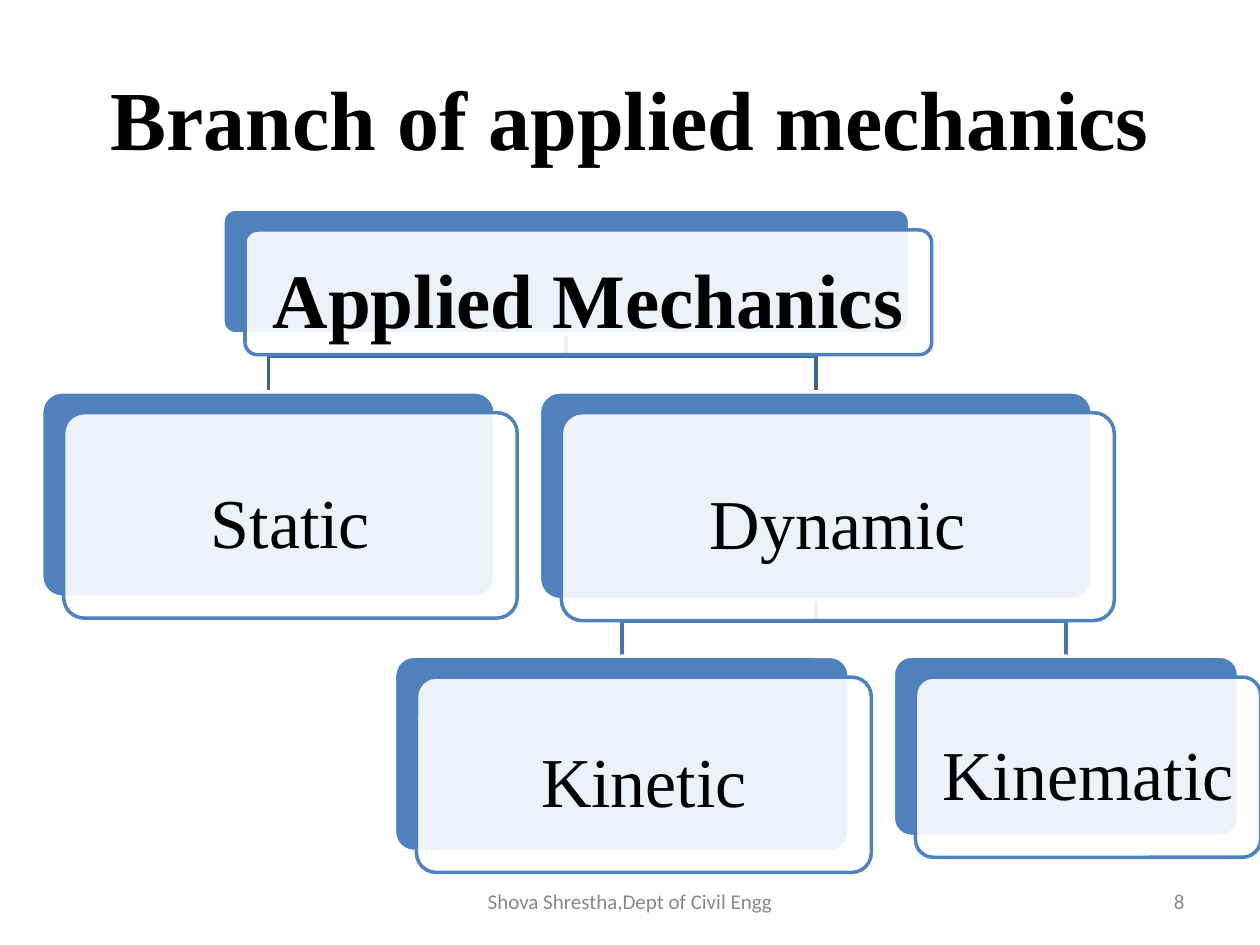
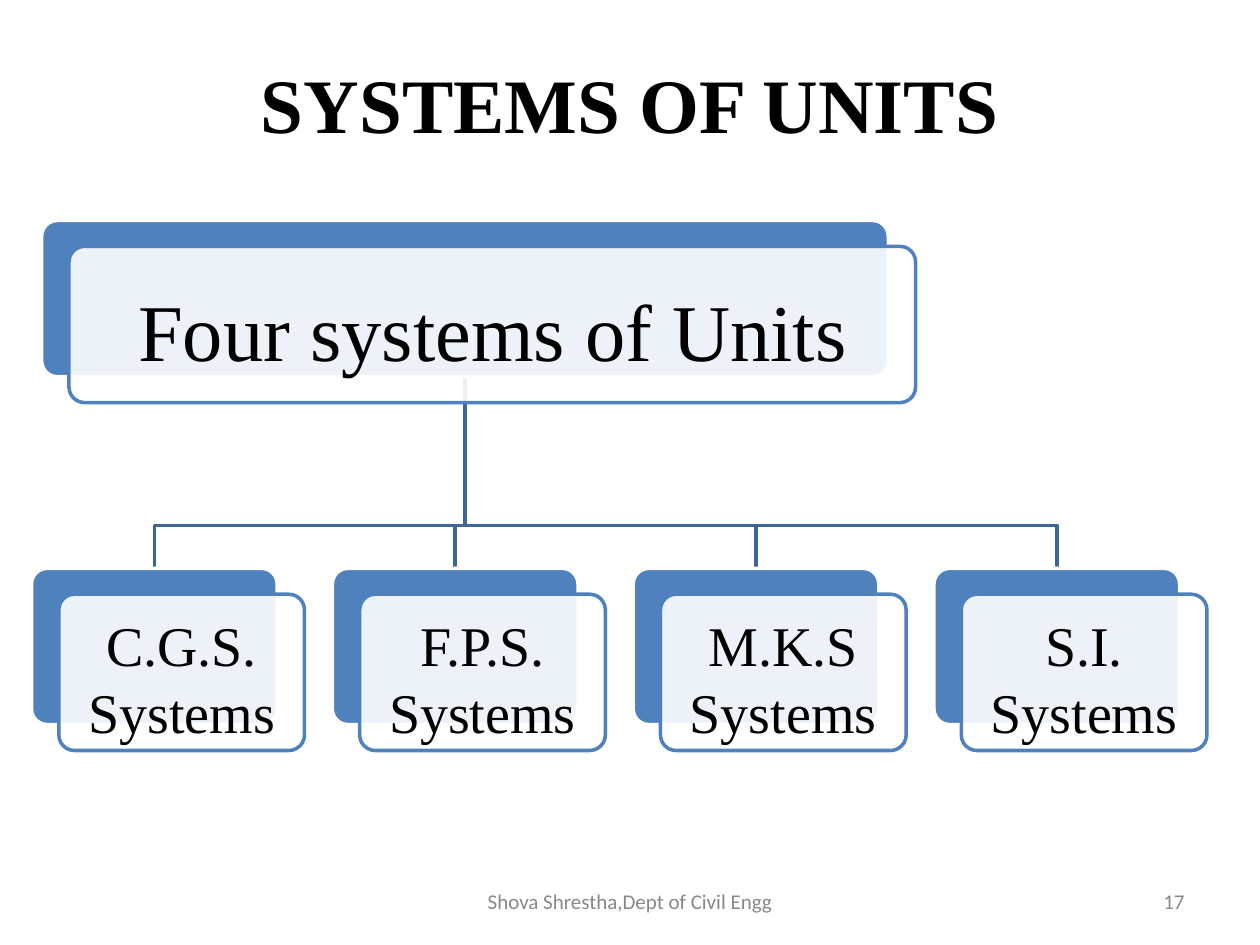
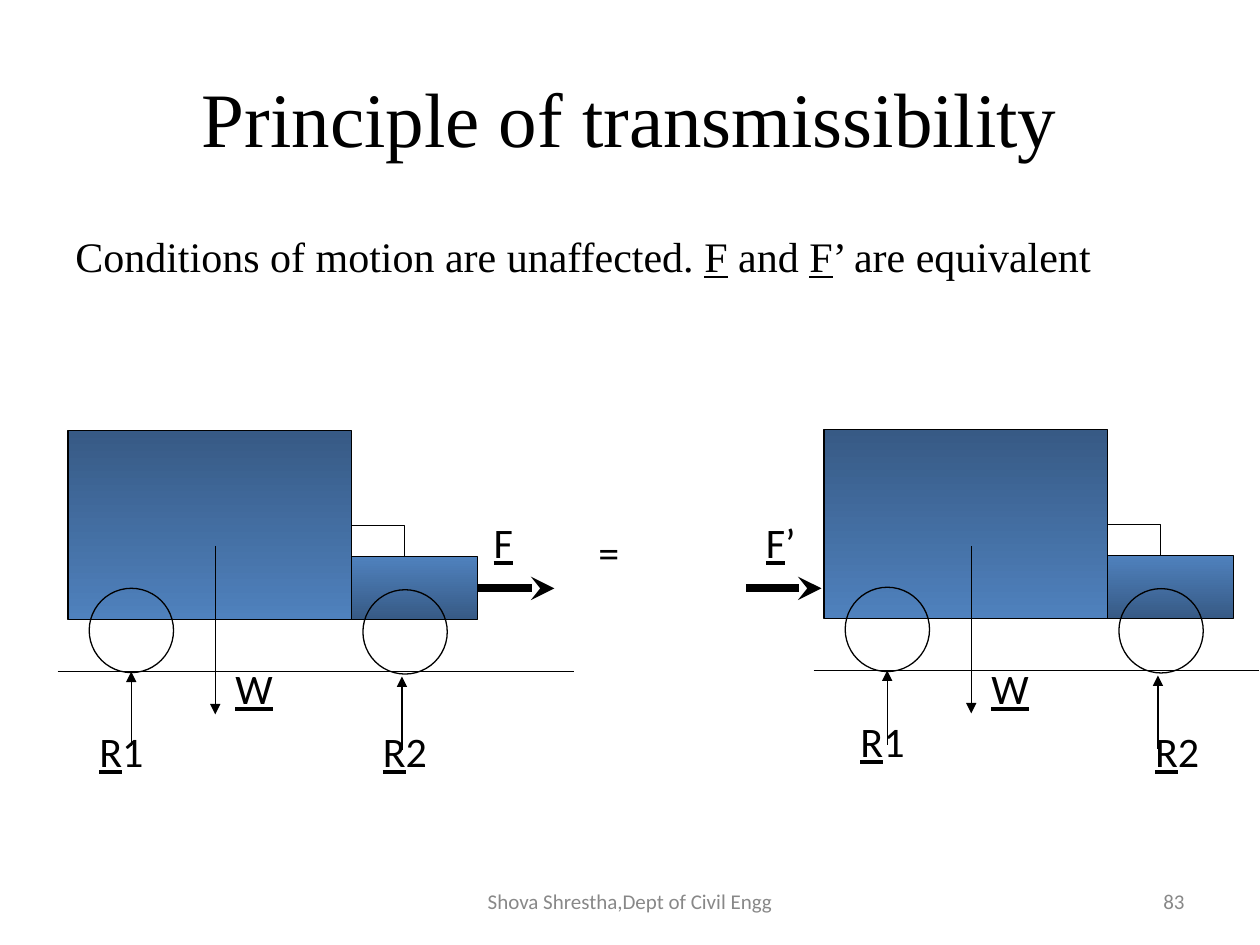
from lxml import etree
from pptx import Presentation
from pptx.dml.color import RGBColor
from pptx.enum import shapes as sh, text as tx
from pptx.oxml import ns
from pptx.util import Pt

HUES = {"ink": "000000", "paper": "FFFFFF", "blue": "4F81BD", "dark": "375A85",
        "link": "3E6695", "low": "4774AA", "grey": "888888"}
SERIF, SANS = "Times New Roman", "Calibri"
ALIGN = tx.PP_ALIGN
MID = tx.MSO_ANCHOR.MIDDLE
FOOT = "Shova Shrestha,Dept of Civil Engg"


def hue(name):
    return RGBColor.from_string(HUES[name])


def put(item, values):
    for key, value in values.items():
        setattr(item, key, value)


def place(item, left, top, width, height):
    put(item, {"left": Pt(left), "top": Pt(top),
               "width": Pt(width), "height": Pt(height)})


class Deck:
    def __init__(self):
        self.prs = Presentation()
        put(self.prs, {"slide_width": Pt(720), "slide_height": Pt(540)})

    def start(self, title, page, area, size, bold=False):
        self.slide = self.prs.slides.add_slide(self.prs.slide_layouts[5])
        self.items = self.slide.shapes
        head = self.items.title
        place(head, *area)
        self.say(head, title, size, align=ALIGN.CENTER, anchor=MID, bold=bold)
        small = {"size": 12, "font": SANS, "color": "grey", "anchor": MID}
        self.label(str(page), 516, 500.4, 168, 28.8, align=ALIGN.RIGHT, **small)
        self.label(FOOT, 246, 500.4, 228, 28.8, align=ALIGN.CENTER, **small)

    def say(self, item, words, size, font=SERIF, color="ink", align=ALIGN.LEFT,
            anchor=tx.MSO_ANCHOR.TOP, bold=False, pads=(7.2, 3.6, 7.2, 3.6)):
        frame = item.text_frame
        put(frame, {"word_wrap": True, "auto_size": tx.MSO_AUTO_SIZE.NONE,
                    "vertical_anchor": anchor})
        sides = ("margin_left", "margin_top", "margin_right", "margin_bottom")
        put(frame, {side: Pt(pad) for side, pad in zip(sides, pads)})
        para = frame.paragraphs[0]
        para.alignment = align
        for spot, part in enumerate(words.split("_")):
            if part:
                run = para.add_run()
                run.text = part
                put(run.font, {"name": font, "size": Pt(size), "bold": bold,
                               "underline": spot % 2 == 1})
                run.font.color.rgb = hue(color)

    def label(self, words, left, top, width, height=36, size=24, font=SANS, **look):
        box = self.items.add_textbox(Pt(left), Pt(top), Pt(width), Pt(height))
        self.say(box, words, size, font, **look)

    def edge(self, item, color="ink", width=0.75):
        item.line.color.rgb = hue(color)
        item.line.width = Pt(width)

    def shape(self, kind, left, top, width, height, fill=None, line="ink", weight=0.75):
        item = self.items.add_shape(kind, Pt(left), Pt(top), Pt(width), Pt(height))
        item.shadow.inherit = False
        if isinstance(fill, tuple):
            item.fill.gradient()
            item.fill.gradient_angle = 270
            for stop, name in zip(item.fill.gradient_stops, fill):
                stop.color.rgb = hue(name)
        elif fill:
            item.fill.solid()
            item.fill.fore_color.rgb = hue(fill)
        else:
            item.fill.background()
        self.edge(item, line, weight)
        return item

    def card(self, words, area, shift, size, bold=False):
        kind = sh.MSO_SHAPE.ROUNDED_RECTANGLE
        left, top, width, height = area
        back = self.shape(kind, *area, "blue", "paper", 2)
        front = self.shape(kind, left + shift[0], top + shift[1], width, height,
                           "paper", "blue", 2)
        for item in (back, front):
            item.adjustments[0] = 0.1
        tint = front._element.spPr.find(ns.qn("a:solidFill"))[0]
        etree.SubElement(tint, ns.qn("a:alpha"), val="90000")
        self.say(front, words, size, align=ALIGN.CENTER, anchor=MID, bold=bold,
                 pads=(6, 10, 6, 4))

    def elbow(self, upper, lower, drop, color):
        x1, y1 = upper[0] + upper[2] / 2, upper[1] + upper[3]
        x2, y2 = lower[0] + lower[2] / 2, lower[1]
        bend = y2 - drop
        pen = self.items.build_freeform(Pt(x1), Pt(y1))
        pen.add_line_segments([(Pt(x), Pt(y)) for x, y in
                               ((x1, bend), (x2, bend), (x2, y2))], close=False)
        item = pen.convert_to_shape()
        item.shadow.inherit = False
        item.fill.background()
        self.edge(item, color, 2)

    def line(self, x1, y1, x2, y2, tip=None, weight=0.75, source=None):
        item = self.items.add_connector(sh.MSO_CONNECTOR.STRAIGHT,
                                        Pt(x1), Pt(y1), Pt(x2), Pt(y2))
        if source:
            item.begin_connect(source, 3)
        self.edge(item, "ink", weight)
        props = item._element.spPr
        if tip:
            etree.SubElement(props.find(ns.qn("a:ln")), ns.qn("a:tailEnd"), type=tip)
        etree.SubElement(props, ns.qn("a:effectLst"))

    def truck(self, dx, dy, reach, front, rear):
        rect, oval = sh.MSO_SHAPE.RECTANGLE, sh.MSO_SHAPE.OVAL
        self.shape(rect, 38.9 + dx, 246.2 + dy, 162, 108, ("dark", "blue"))
        self.shape(rect, 200.9 + dx, 300.2 + dy, 30.2, 18)
        hood = self.shape(rect, 200.9 + dx, 318.2 + dy, 72, 36, ("blue", "dark"))
        for left, top in ((51, 336.2), (207.4, 337)):
            self.shape(oval, left + dx, top + dy, 48.2, 48.2)
        self.line(123 + dx, 312, 123 + dx, 408.2 + dy, "triangle")
        self.label("_W_", 127.4 + dx, 375, 37.4)
        for x, low, high in ((75, 426.2, 383.8), (229.7, 428.4, 386.6)):
            self.line(x + dx, low + dy, x + dx, high + dy, "triangle")
        self.line(33 + dx, 383.8 + dy, reach, 383.8 + dy)
        self.label("_R_1", *rear, 42.5)
        self.label("_R_2", *front, 42.5)
        return hood


def branches(deck):
    deck.start("Branch of applied mechanics", 8, (0, 21.6, 720, 90), 48, True)
    root = (127.4, 119.5, 392.4, 71.3)
    static = (23.8, 223.9, 259.2, 117.4)
    moving = (308.2, 223.9, 316, 118.8)
    force = (225.4, 375, 259.9, 111.6)
    motion = (510.5, 375, 197.3, 103)
    for upper, lower, color in ((root, static, "link"), (root, moving, "link"),
                                (moving, force, "low"), (moving, motion, "low")):
        deck.elbow(upper, lower, 20.2, color)
    shift = (12.6, 11.9)
    deck.card("Applied Mechanics", root, shift, 44, True)
    for words, area in (("Static", static), ("Dynamic", moving),
                        ("Kinetic", force), ("Kinematic", motion)):
        deck.card(words, area, shift, 40)


def units(deck):
    deck.start("SYSTEMS OF UNITS", 17, (36, 21.6, 648, 74.2), 44, True)
    root = (23.8, 126, 483.8, 89.3)
    names = ("C.G.S.", "F.P.S.", "M.K.S", "S.I.")
    areas = [(18 + 171.9 * step, 324.8, 140.4, 89.3) for step in range(len(names))]
    for area in areas:
        deck.elbow(root, area, 24.5, "link")
    shift = (15.6, 14.8)
    deck.card("Four systems of Units", root, shift, 46)
    for name, area in zip(names, areas):
        deck.card(name + " Systems", area, shift, 32)


def forces(deck):
    deck.start("Principle of transmissibility", 83, (36, 21.6, 648, 90), 44)
    deck.label("Conditions of motion are unaffected. _F_ and _F_’ are equivalent",
               36, 128, 648, font=SERIF)
    hood = deck.truck(0, 0, 328.3, (211.7, 411), (49.7, 411))
    deck.line(272.9, 336.2, 316.8, 336.2, "stealth", 4.5, hood)
    deck.truck(432, -0.6, 719.3, (653, 411), (484.6, 405.4))
    deck.line(426.2, 336.2, 469.4, 336.2, "stealth", 4.5)
    deck.label("=", 334.8, 297.4, 28)
    deck.label("_F_", 275, 291.6, 28)
    deck.label("_F_’", 430.6, 291.6, 36)


def main():
    deck = Deck()
    for build in (branches, units, forces):
        build(deck)
    deck.prs.save("out.pptx")


if __name__ == "__main__":
    main()
